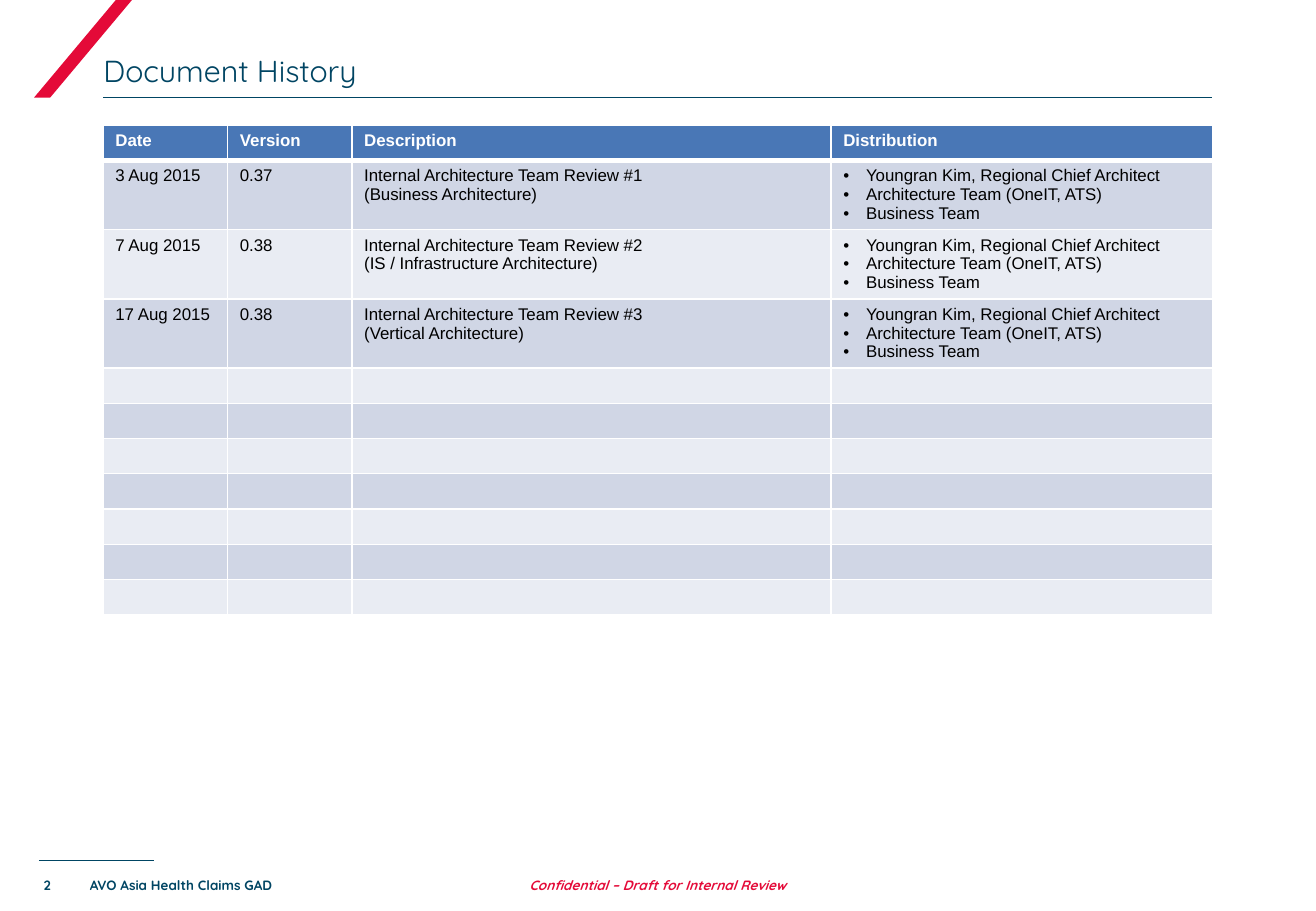
from lxml.etree import SubElement
from pptx import Presentation
from pptx.dml.color import RGBColor
from pptx.enum.shapes import MSO_CONNECTOR, MSO_SHAPE
from pptx.enum.text import MSO_ANCHOR, MSO_AUTO_SIZE, PP_ALIGN
from pptx.oxml.ns import qn
from pptx.util import Pt

NAVY = RGBColor(0x00, 0x45, 0x63)
RED = RGBColor(0xE4, 0x0A, 0x38)
HEADER_BLUE = RGBColor(0x49, 0x77, 0xB6)
BAND_DARK = RGBColor(0xD0, 0xD6, 0xE5)
BAND_LIGHT = RGBColor(0xE9, 0xEC, 0xF3)
WHITE = RGBColor(0xFF, 0xFF, 0xFF)
BLACK = RGBColor(0x00, 0x00, 0x00)

TITLE_FORMAT = {"name": "Quicksand", "size": Pt(18), "bold": False}
FOOTER_FORMAT = {"name": "Quicksand", "size": Pt(8), "bold": True}
CELL_FORMAT = {"name": "Arial", "size": Pt(10), "bold": False}
HEADER_FORMAT = {**CELL_FORMAT, "bold": True}

LEFT, CONTENT_WIDTH = 61.2, 657.4
COLUMN_WIDTHS = (73.8, 73.7, 284, 225.9)
ROW_COUNT, ROW_HEIGHT, REVIEW_ROW_HEIGHT = 11, 20.9, 41
BULLET_INDENT = Pt(13.5)

HEADINGS = ("Date", "Version", "Description", "Distribution")
REVIEWS = (
    ("3 Aug 2015", "0.37", "Business Architecture"),
    ("7 Aug 2015", "0.38", "IS / Infrastructure Architecture"),
    ("17 Aug 2015", "0.38", "Vertical Architecture"),
)
DISTRIBUTION = (
    "Youngran Kim, Regional Chief Architect",
    "Architecture Team (OneIT, ATS)",
    "Business Team",
)


def format_font(font, values, color):
    for name, value in values.items():
        setattr(font, name, value)
    font.color.rgb = color


def fill_text_frame(frame, text, values, color, alignment):
    settings = {
        "margin_left": 0, "margin_top": 0, "margin_right": 0, "margin_bottom": 0,
        "word_wrap": True, "auto_size": MSO_AUTO_SIZE.NONE,
        "vertical_anchor": MSO_ANCHOR.BOTTOM,
    }
    for name, value in settings.items():
        setattr(frame, name, value)
    paragraph = frame.paragraphs[0]
    paragraph.alignment = alignment
    run = paragraph.add_run()
    run.text = text
    format_font(run.font, values, color)


def set_title(slide, text):
    title = slide.shapes.title
    title.left, title.top = Pt(LEFT), Pt(25.9)
    title.width, title.height = Pt(CONTENT_WIDTH), Pt(26.6)
    fill_text_frame(title.text_frame, text, TITLE_FORMAT, NAVY, PP_ALIGN.LEFT)


def add_footer_text(slide, text, left, width, color=NAVY,
                    alignment=PP_ALIGN.CENTER, italic=False):
    box = slide.shapes.add_textbox(Pt(left), Pt(512.6), Pt(width), Pt(16.9))
    values = {**FOOTER_FORMAT, "italic": italic}
    fill_text_frame(box.text_frame, text, values, color, alignment)


def add_rule(slide, left, top, width):
    rule = slide.shapes.add_connector(
        MSO_CONNECTOR.STRAIGHT, Pt(left), Pt(top), Pt(left + width), Pt(top))
    rule.line.color.rgb = NAVY
    rule.line.width = Pt(0.5)
    SubElement(rule._element.spPr, qn("a:effectLst"))


def add_corner_slash(slide):
    slash = slide.shapes.add_shape(
        MSO_SHAPE.PARALLELOGRAM, Pt(20.2), Pt(-1.2), Pt(59), Pt(59))
    slash.adjustments[0] = 0.838
    slash.shadow.inherit = False
    slash.fill.solid()
    slash.fill.fore_color.rgb = RED
    slash.line.fill.background()


def style_cell(cell, color, bottom_width, top_width):
    """Give the cell white borders and a solid fill."""
    properties = cell._tc.get_or_add_tcPr()
    widths = {"lnL": 1, "lnR": 1, "lnT": top_width, "lnB": bottom_width}
    for side, width in widths.items():
        border = SubElement(properties, qn(f"a:{side}"), w=str(Pt(width)))
        border_fill = SubElement(border, qn("a:solidFill"))
        SubElement(border_fill, qn("a:srgbClr"), val=str(WHITE))
    cell.fill.solid()
    cell.fill.fore_color.rgb = color


def add_bullet(paragraph):
    properties = paragraph._p.get_or_add_pPr()
    properties.set("marL", str(BULLET_INDENT))
    properties.set("indent", str(-BULLET_INDENT))
    SubElement(properties, qn("a:buFont"), typeface="Arial")
    SubElement(properties, qn("a:buChar"), char="•")


def fill_cell(cell, lines, values, color):
    """Write one paragraph per line, with bullets when there are several."""
    frame = cell.text_frame
    for index, line in enumerate(lines):
        paragraph = frame.paragraphs[0] if index == 0 else frame.add_paragraph()
        paragraph.text = line
        for run in paragraph.runs:
            format_font(run.font, values, color)
        if len(lines) > 1:
            add_bullet(paragraph)
    if not lines:
        end_properties = frame.paragraphs[0]._p.get_or_add_endParaRPr()
        end_properties.set("sz", str(int(CELL_FORMAT["size"].pt * 100)))


def history_rows():
    rows = [[[heading] for heading in HEADINGS]]
    for number, (date, version, topic) in enumerate(REVIEWS, start=1):
        description = f"Internal Architecture Team Review #{number}\v({topic})"
        rows.append([[date], [version], [description], DISTRIBUTION])
    empty_row = [[] for heading in HEADINGS]
    return rows + [empty_row] * (ROW_COUNT - len(rows))


def add_history_table(slide):
    rows = history_rows()
    heights = [REVIEW_ROW_HEIGHT if 1 <= index <= len(REVIEWS) else ROW_HEIGHT
               for index in range(ROW_COUNT)]
    table = slide.shapes.add_table(
        ROW_COUNT, len(HEADINGS), Pt(LEFT), Pt(74.3),
        Pt(CONTENT_WIDTH), Pt(sum(heights))).table
    for column, width in zip(table.columns, COLUMN_WIDTHS):
        column.width = Pt(width)
    for index, (row, height, contents) in enumerate(zip(table.rows, heights, rows)):
        row.height = Pt(height)
        is_header = index == 0
        band = BAND_DARK if index % 2 else BAND_LIGHT
        for cell, lines in zip(row.cells, contents):
            style_cell(cell, HEADER_BLUE if is_header else band,
                       bottom_width=3 if is_header else 1,
                       top_width=3 if index == 1 else 1)
            fill_cell(cell, lines, HEADER_FORMAT if is_header else CELL_FORMAT,
                      WHITE if is_header else BLACK)


def main():
    presentation = Presentation()
    presentation.slide_width, presentation.slide_height = Pt(780), Pt(540)
    slide = presentation.slides.add_slide(presentation.slide_layouts[5])

    add_rule(slide, 23, 509.8, 68)
    add_corner_slash(slide)
    add_rule(slide, LEFT, 57.6, CONTENT_WIDTH)
    set_title(slide, "Document History")
    add_history_table(slide)
    add_footer_text(slide, "2", 11.2, 33.8)
    add_footer_text(slide, "AVO Asia Health Claims GAD", 53.3, 244,
                    alignment=PP_ALIGN.LEFT)
    add_footer_text(slide, "Confidential – Draft for Internal Review", 299, 182,
                    color=RED, italic=True)

    presentation.save("out.pptx")


if __name__ == "__main__":
    main()
